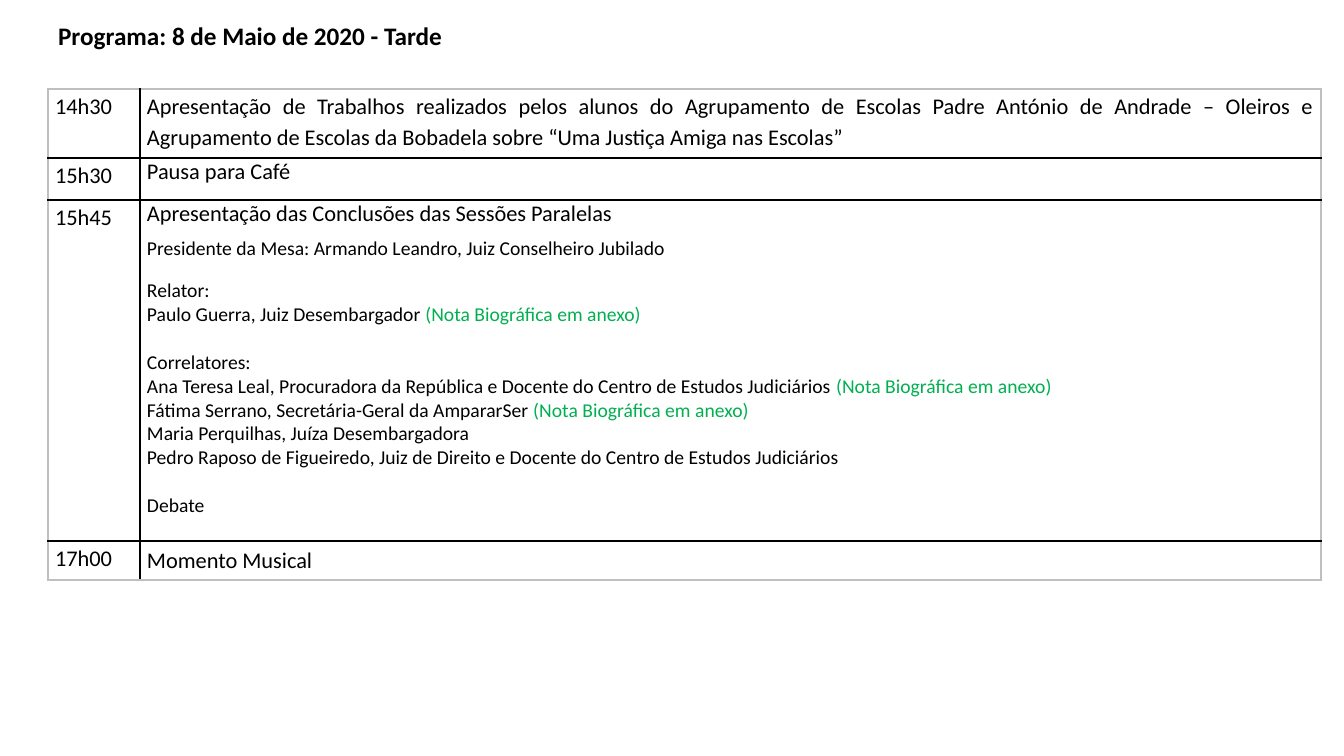
from lxml import etree
from pptx import Presentation
from pptx.dml.color import RGBColor
from pptx.enum.text import MSO_ANCHOR, PP_ALIGN
from pptx.oxml.ns import qn
from pptx.util import Pt

TOP, MIDDLE = MSO_ANCHOR.TOP, MSO_ANCHOR.MIDDLE
LEFT, JUSTIFY = PP_ALIGN.LEFT, PP_ALIGN.JUSTIFY
PIXEL = 914400 / 100.8
COLORS = {"text": "000000", "note": "00B050", "rule": "000000", "frame": "BFBFBF"}
FONT = "Calibri"

# Content: each entry is (text, size, space before, has a biographical note)
TITLE = "Programa: 8 de Maio de 2020 - Tarde"
NOTE = "(Nota Biográfica em anexo)"
WORKS = [("Apresentação de Trabalhos realizados pelos alunos do Agrupamento de Escolas "
          "Padre António de Andrade – Oleiros e Agrupamento de Escolas da Bobadela sobre "
          "“Uma Justiça Amiga nas Escolas”", 16, 0, False)]
CONCLUSIONS = [
    ("Apresentação das Conclusões das Sessões Paralelas", 16, 0, False),
    ("Presidente da Mesa: Armando Leandro, Juiz Conselheiro Jubilado", 14, 7, False),
    ("Relator:", 14, 13, False),
    ("Paulo Guerra, Juiz Desembargador", 14, 0, True),
    ("Correlatores:", 14, 17, False),
    ("Ana Teresa Leal, Procuradora da República e Docente do Centro de Estudos Judiciários",
     14, 0, True),
    ("Fátima Serrano, Secretária-Geral da AmpararSer", 14, 0, True),
    ("Maria Perquilhas, Juíza Desembargadora", 14, 0, False),
    ("Pedro Raposo de Figueiredo, Juiz de Direito e Docente do Centro de Estudos Judiciários",
     14, 0, False),
    ("Debate", 14, 17, False),
]
# Time, entries, row height, alignment, line spacing, anchor
SESSIONS = [
    ("14h30", WORKS, 69, JUSTIFY, 1.15, TOP),
    ("15h30", [("Pausa para Café", 16, 0, False)], 42, LEFT, 1.0, TOP),
    ("15h45", CONCLUSIONS, 341, LEFT, 1.0, TOP),
    ("17h00", [("Momento Musical", 16, 0, False)], 39, LEFT, 1.0, MIDDLE),
]
COLUMNS = [92, 1181]
TABLE_LEFT, TABLE_TOP = 48, 89


def px(length):
    return round(length * PIXEL)


def add_span(para, text, size, color="text", bold=False):
    span = para.add_run()
    span.text = text
    span.font.name, span.font.size, span.font.bold = FONT, Pt(size), bold
    span.font.color.rgb = RGBColor.from_string(COLORS[color])


def draw_border(cell, side, color, width):
    line = etree.SubElement(cell._tc.get_or_add_tcPr(), qn(f"a:{side}"), w=str(Pt(width)))
    fill = etree.SubElement(line, qn("a:solidFill"))
    etree.SubElement(fill, qn("a:srgbClr"), val=COLORS[color])


def fill_cell(cell, entries, align, spacing, anchor):
    cell.margin_left = cell.margin_right = px(7)
    cell.margin_top = cell.margin_bottom = 0
    cell.vertical_anchor = anchor
    for index, (text, size, before, has_note) in enumerate(entries):
        frame = cell.text_frame
        para = frame.add_paragraph() if index else frame.paragraphs[0]
        para.alignment, para.line_spacing = align, spacing
        para.space_before = Pt(before)
        add_span(para, text + (" " if has_note else ""), size)
        if has_note:
            add_span(para, NOTE, size, "note")


deck = Presentation()
deck.slide_width, deck.slide_height = px(1344), px(756)
page = deck.slides.add_slide(deck.slide_layouts[5])

# Title
title = page.shapes.title
title.left, title.top, title.width, title.height = px(48), px(15), px(706), px(40)
title.text_frame.vertical_anchor = MIDDLE
heading = title.text_frame.paragraphs[0]
heading.alignment = LEFT
add_span(heading, TITLE, 18, bold=True)

# Programme table
heights = [session[2] for session in SESSIONS]
table = page.shapes.add_table(len(SESSIONS), len(COLUMNS), px(TABLE_LEFT), px(TABLE_TOP),
                              px(sum(COLUMNS)), px(sum(heights))).table
table.first_row = table.horz_banding = False
for column, width in zip(table.columns, COLUMNS):
    column.width = px(width)

last_row, last_column = len(SESSIONS) - 1, len(COLUMNS) - 1
for row, (time, entries, height, align, spacing, anchor) in enumerate(SESSIONS):
    table.rows[row].height = px(height)
    fill_cell(table.cell(row, 0), [(time, 16, 0, False)], JUSTIFY, 1.15, TOP)
    fill_cell(table.cell(row, 1), entries, align, spacing, anchor)
    for column in range(len(COLUMNS)):
        cell = table.cell(row, column)
        edges = {"lnL": column == 0, "lnR": column == last_column,
                 "lnT": row == 0, "lnB": row == last_row}
        for side, is_outer in edges.items():
            draw_border(cell, side, "frame" if is_outer else "rule", 1)
        cell.fill.background()

deck.save("out.pptx")
